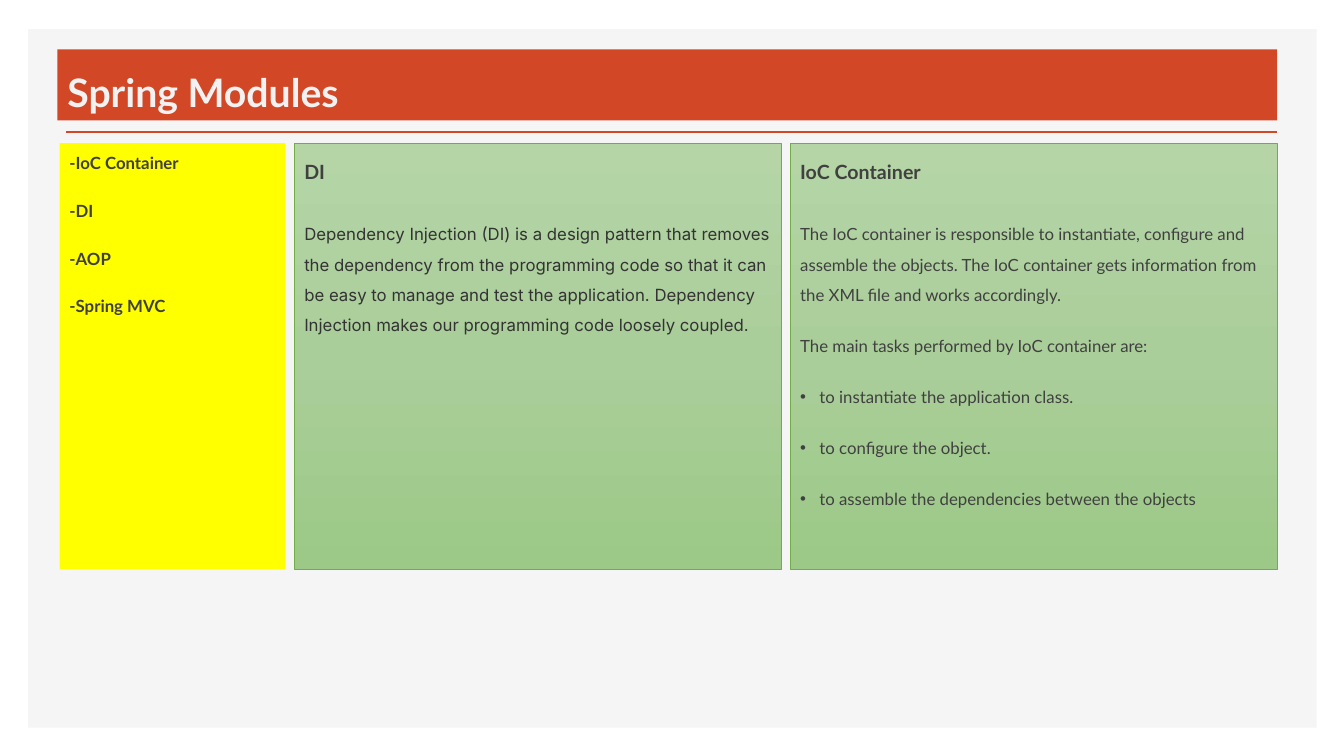
"""Build the Spring Modules slide."""
import copy
import pptx
import pptx.util
import pptx.dml.color
import pptx.enum.dml
import pptx.enum.shapes
import pptx.enum.text
import pptx.oxml
import pptx.oxml.ns
from lxml import etree

RGB = pptx.dml.color.RGBColor
Pt = pptx.util.Pt
PAGE = RGB(0xF5, 0xF5, 0xF5)
RED = RGB(0xD2, 0x47, 0x26)
PALE = RGB(0xF2, 0xF2, 0xF2)
GREY = RGB(0x40, 0x40, 0x40)
DARK = RGB(0x33, 0x33, 0x33)
GOLD = RGB(0xFF, 0xFF, 0x00)
EDGE = RGB(0x70, 0xAD, 0x47)
FADE = [RGB(0xB5, 0xD5, 0xA7), RGB(0xAA, 0xCE, 0x9A), RGB(0x9C, 0xC9, 0x87)]


class Deck:
    """Hold the style and the current slide; lengths are percent of its size."""

    def __init__(self):
        self.show = pptx.Presentation()
        self.show.slide_width = pptx.util.Inches(13.33)
        self.show.slide_height = pptx.util.Inches(7.5)
        self.slide = self.show.slides.add_slide(self.show.slide_layouts[6])
        self.font = "Lato"

    def across(self, share):
        return round(self.show.slide_width * share / 100)

    def down(self, share):
        return round(self.show.slide_height * share / 100)

    def box(self, left, top, width, height, fill):
        shape = self.slide.shapes.add_shape(
            pptx.enum.shapes.MSO_SHAPE.RECTANGLE, self.across(left),
            self.down(top), self.across(width), self.down(height))
        shape.shadow.inherit = False
        shape.line.fill.background()
        shape.text_frame.word_wrap = True
        shape.text_frame.vertical_anchor = pptx.enum.text.MSO_ANCHOR.TOP
        if isinstance(fill, list):
            self.fade(shape, fill)
        else:
            shape.fill.solid()
            shape.fill.fore_color.rgb = fill
        return shape

    def fade(self, shape, tones):
        shape.fill.gradient()
        shape.fill.gradient_angle = 270
        stops = shape._element.spPr.find(".//" + pptx.oxml.ns.qn("a:gsLst"))
        stops.insert(1, copy.deepcopy(stops[0]))
        for rank, (stop, tone) in enumerate(zip(shape.fill.gradient_stops, tones)):
            stop.position = rank / (len(tones) - 1)
            stop.color.rgb = tone
        shape.line.color.rgb = EDGE
        shape.line.width = Pt(0.5)

    def rule(self, left, right, top, color, width):
        line = self.slide.shapes.add_connector(
            pptx.enum.shapes.MSO_CONNECTOR.STRAIGHT, self.across(left),
            self.down(top), self.across(right), self.down(top))
        line.line.color.rgb = color
        line.line.width = Pt(width)
        etree.SubElement(line._element.spPr, pptx.oxml.ns.qn("a:effectLst"))

    def text(self, shape, words, size=12, bold=False, color=GREY, font=None,
             space=1.0, before=10, after=12, just=False, dot=False):
        frame = shape.text_frame
        para = frame.paragraphs[0]
        if para.runs:
            para = frame.add_paragraph()
        align = pptx.enum.text.PP_ALIGN
        para.alignment = align.JUSTIFY if just else align.LEFT
        para.line_spacing = space
        para.space_before, para.space_after = Pt(before), Pt(after)
        if dot:
            props = para._p.get_or_add_pPr()
            indent = pptx.util.Inches(0.19)
            props.set("marL", str(indent))
            props.set("indent", str(-indent))
            face = etree.SubElement(props, pptx.oxml.ns.qn("a:buFont"))
            face.set("typeface", "Arial")
            mark = etree.SubElement(props, pptx.oxml.ns.qn("a:buChar"))
            mark.set("char", "•")
        run = para.add_run()
        run.text = words
        run.font.name = font or self.font
        run.font.size = Pt(size)
        run.font.bold = bold
        run.font.color.rgb = color


deck = Deck()
LEFT, TOP, TALL = 4.43, 18.93, 56.4
SIDE, WIDE, GAP = 16.8, 36.23, 0.67
RIGHT = LEFT + SIDE + 2 * (WIDE + GAP)

deck.box(2.1, 3.87, 95.87, 92.4, PAGE)
deck.rule(4.95, RIGHT, 17.47, RED, 2)
title = deck.box(4.28, 6.53, RIGHT - 4.28, 9.4, RED)
title.text_frame.vertical_anchor = pptx.enum.text.MSO_ANCHOR.BOTTOM
deck.text(title, "Spring Modules", 28, True, PALE, before=0, after=0)

menu = deck.box(LEFT, TOP, SIDE, TALL, GOLD)
for item in ["-IoC Container", "-DI", "-AOP", "-Spring MVC"]:
    deck.text(menu, item, bold=True, space=Pt(18), after=6)

inject, holder = [
    deck.box(LEFT + SIDE + GAP + step * (WIDE + GAP), TOP, WIDE, TALL, FADE)
    for step in range(2)]
for panel, head in [(inject, "DI"), (holder, "IoC Container")]:
    deck.text(panel, head, 14, True, space=1.5)

deck.text(
    inject, "Dependency Injection (DI) is a design pattern that removes the "
    "dependency from the programming code so that it can be easy to manage and "
    "test the application. Dependency Injection makes our programming code "
    "loosely coupled.", color=DARK, font="Inter", space=1.5)
deck.text(
    holder, "The IoC container is responsible to instantiate, configure and "
    "assemble the objects. The IoC container gets information from the XML file "
    "and works accordingly.", space=1.5)
deck.text(holder, "The main tasks performed by IoC container are:", just=True)
for task in ["to instantiate the application class.", "to configure the object.",
             "to assemble the dependencies between the objects"]:
    deck.text(holder, task, just=True, dot=True)

deck.show.save("out.pptx")
